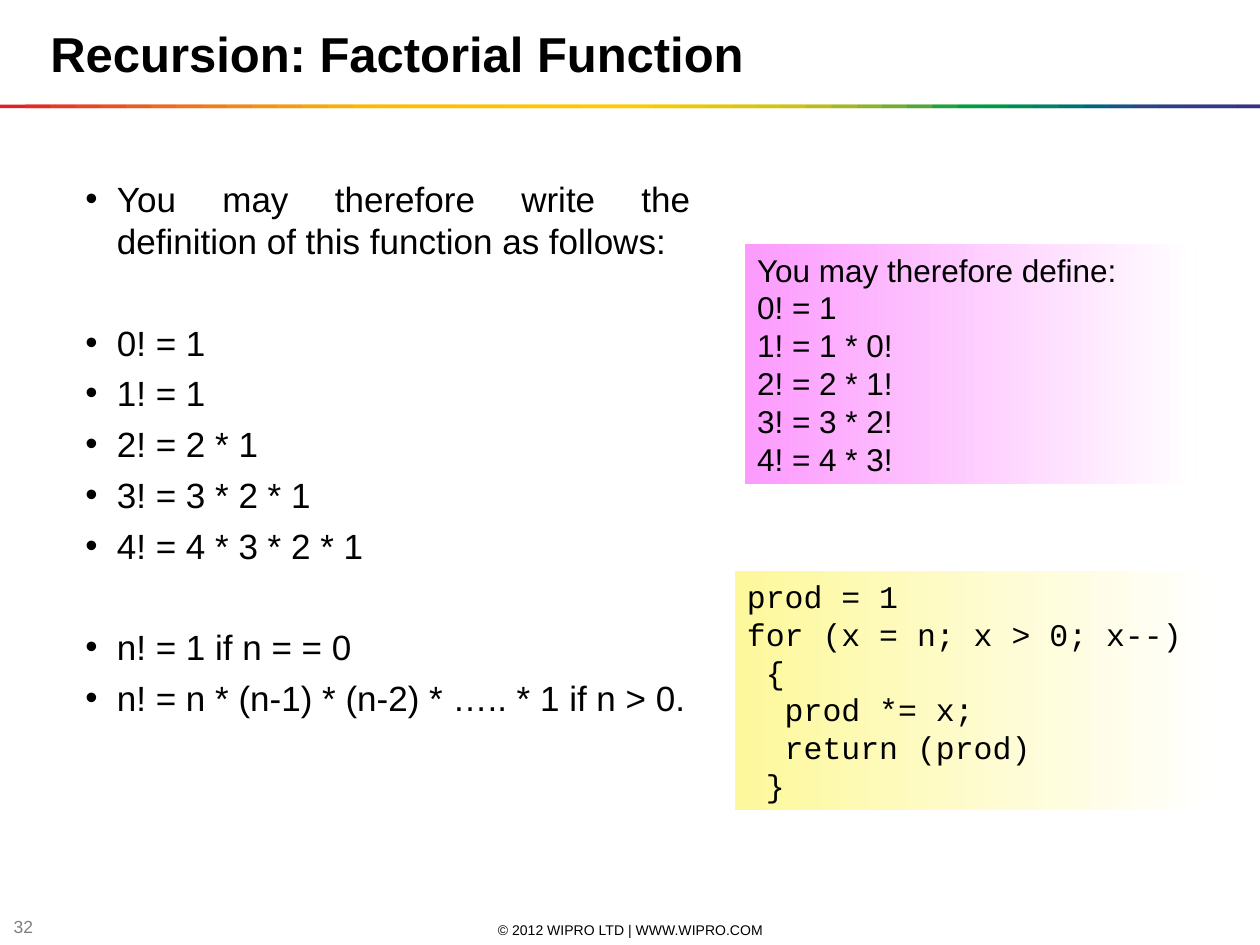
"""Build the slide on the recursive definition of the factorial function."""
from lxml import etree
from pptx import Presentation
from pptx.dml.color import RGBColor
from pptx.enum.shapes import MSO_SHAPE
from pptx.enum.text import MSO_ANCHOR, PP_ALIGN
from pptx.oxml.ns import qn
from pptx.util import Pt

RECTANGLE = MSO_SHAPE.RECTANGLE
TOP, MIDDLE = MSO_ANCHOR.TOP, MSO_ANCHOR.MIDDLE
LEFT, CENTER, JUSTIFY = PP_ALIGN.LEFT, PP_ALIGN.CENTER, PP_ALIGN.JUSTIFY
PX = 9144
THEME = {
    "sans": "Arial", "mono": "Courier New",
    "text": "000000", "muted": "7F7F7F",
    "pink": "FC9AFE", "yellow": "FDF89B", "fade": "FFFFFF",
    "title": 28, "body": 20, "panel": 18, "number": 10, "footer": 8,
    "leading": 1.2,
}
RAINBOW = """
    E31E24 E42C24 E53A24 E74623 E85122 EA5D21 EC691F EE741D EF7E1A F18817
    F39314 F49C0F F6A607 F8B002 FBBA00 FBBB00 FBBD00 FCBF00 FCC000 FCC200
    FDC400 FDC600 FDC700 FEC900 FECB00 FBCB00 F3CA00 ECC800 E4C602 DCC50A
    D5C30E CCC117 B8BC21 A3B829 8CB230 71AD36 51A73B 1DA240 009D43 009846
    008C57 008068 007275 00637F 185384 2E4285 313E85 333B85 353885 393185
""".split()


def place(shape, left, top, width, height):
    bounds = {"left": left, "top": top, "width": width, "height": height}
    for name, value in bounds.items():
        setattr(shape, name, value * PX)


def write(shape, lines, size, font="sans", color="text", bold=False,
          align=LEFT, anchor=TOP):
    frame = shape.text_frame
    frame.word_wrap = True
    frame.vertical_anchor = anchor
    font_format = {"name": THEME[font], "size": Pt(THEME[size]), "bold": bold}
    for index, line in enumerate(lines):
        paragraph = frame.add_paragraph() if index else frame.paragraphs[0]
        paragraph.alignment = align
        paragraph.space_before = Pt(0)
        paragraph.line_spacing = Pt(round(THEME[size] * THEME["leading"], 1))
        run = paragraph.add_run()
        run.text = line
        for name, value in font_format.items():
            setattr(run.font, name, value)
        run.font.color.rgb = RGBColor.from_string(THEME[color])
    return frame.paragraphs


presentation = Presentation()
presentation.slide_width = 1000 * PX
presentation.slide_height = 750 * PX
slide = presentation.slides.add_slide(presentation.slide_layouts[5])

title = slide.shapes.title
place(title, 30, 14, 900, 57)
write(title, ["Recursion: Factorial Function"], "title", bold=True)

footer = slide.shapes.add_textbox(0, 0, 0, 0)
place(footer, 342, 730, 317, 16)
write(footer, ["© 2012 WIPRO LTD | WWW.WIPRO.COM"], "footer",
      align=CENTER, anchor=MIDDLE)

slide_number = slide.shapes.add_textbox(0, 0, 0, 0)
place(slide_number, 1, 727, 39, 16)
write(slide_number, ["32"], "number", color="muted", anchor=MIDDLE)

rainbow = slide.shapes.add_group_shape()
for index, color in enumerate(RAINBOW):
    left = index * 20
    band = rainbow.shapes.add_shape(
        RECTANGLE, left * PX, 83 * PX, min(40, 1000 - left) * PX, 3 * PX)
    band.shadow.inherit = False
    band.fill.solid()
    band.fill.fore_color.rgb = RGBColor.from_string(color)
    band.line.fill.background()

bullet_groups = [
    ["You may therefore write the definition of this function as follows:"],
    ["0! = 1", "1! = 1", "2! = 2 * 1", "3! = 3 * 2 * 1", "4! = 4 * 3 * 2 * 1"],
    ["n! = 1 if n = = 0", "n! = n * (n-1) * (n-2) * ….. * 1 if n > 0."],
]
definition = slide.shapes.add_textbox(0, 0, 0, 0)
place(definition, 58, 136, 500, 550)
bullets = write(definition, sum(bullet_groups, []), "body", align=JUSTIFY)
group_starts = [group[0] for group in bullet_groups]
for index, paragraph in enumerate(bullets):
    if index:
        paragraph.space_before = Pt(34 if paragraph.text in group_starts else 5)
    properties = paragraph._p.get_or_add_pPr()
    properties.set("marL", str(25 * PX))
    properties.set("indent", str(-25 * PX))
    bullet_color = etree.SubElement(properties, qn("a:buClr"))
    etree.SubElement(bullet_color, qn("a:srgbClr"), val=THEME["text"])
    etree.SubElement(properties, qn("a:buFont"), typeface=THEME["sans"])
    etree.SubElement(properties, qn("a:buChar"), char="•")

loop_code = ["prod = 1", "for (x = n; x > 0; x--)", " {", "  prod *= x;",
             "  return (prod)", " }"]
recursive_lines = ["You may therefore define:", "0! = 1"]
recursive_lines += [f"{n}! = {n} * {n - 1}!" for n in range(1, 5)]
panels = [
    ((583, 453, 383, 190), "yellow", "mono", loop_code),
    ((591, 194, 358, 190), "pink", "sans", recursive_lines),
]
for bounds, color, font, lines in panels:
    panel = slide.shapes.add_shape(RECTANGLE, 0, 0, 0, 0)
    place(panel, *bounds)
    panel.shadow.inherit = False
    panel.line.fill.background()
    panel.fill.gradient()
    panel.fill.gradient_angle = 0
    for stop, stop_color in zip(panel.fill.gradient_stops, (color, "fade")):
        stop.color.rgb = RGBColor.from_string(THEME[stop_color])
    write(panel, lines, "panel", font=font)

presentation.save("out.pptx")
